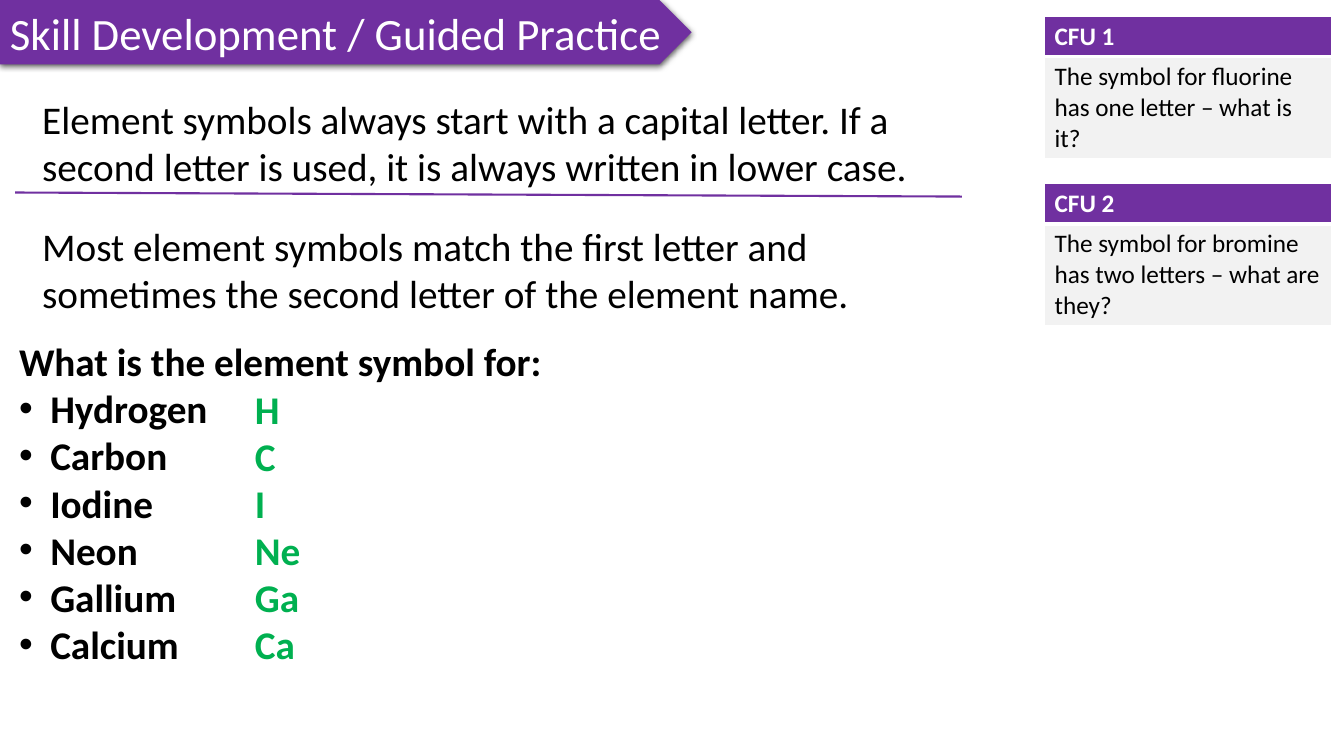
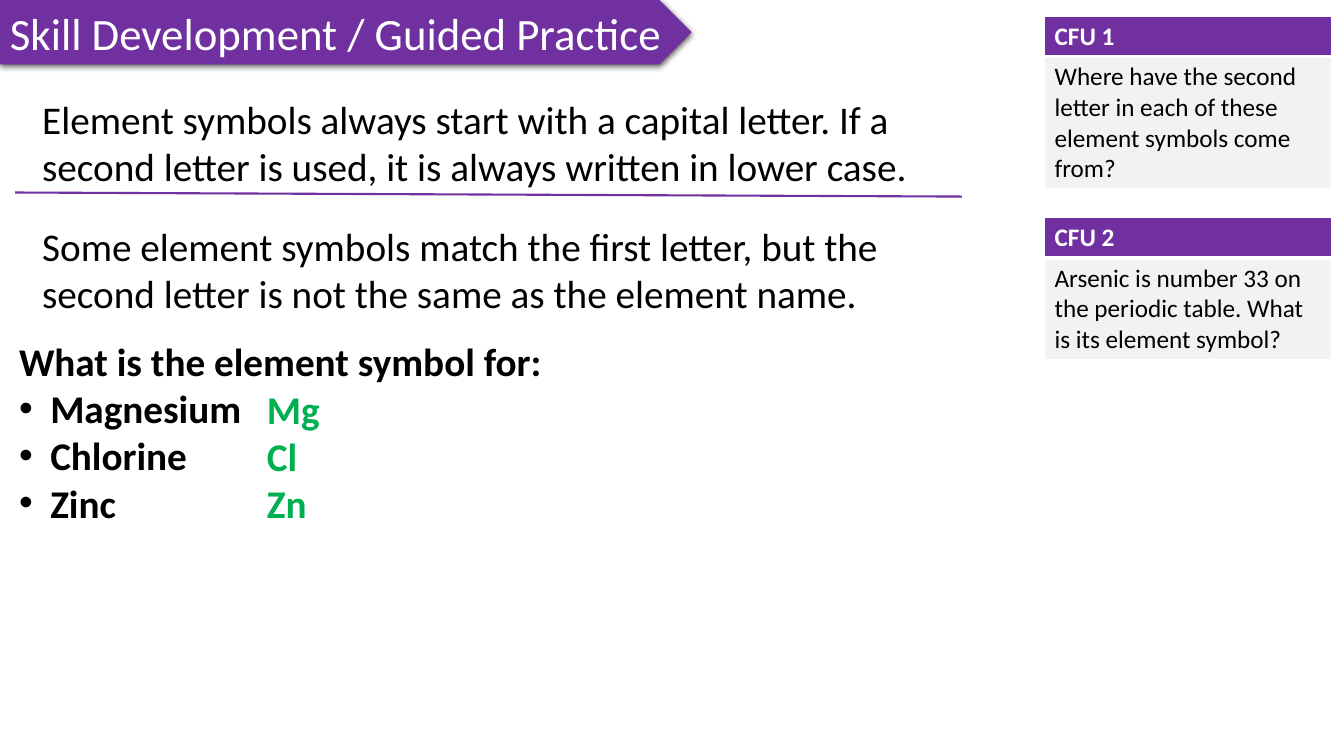
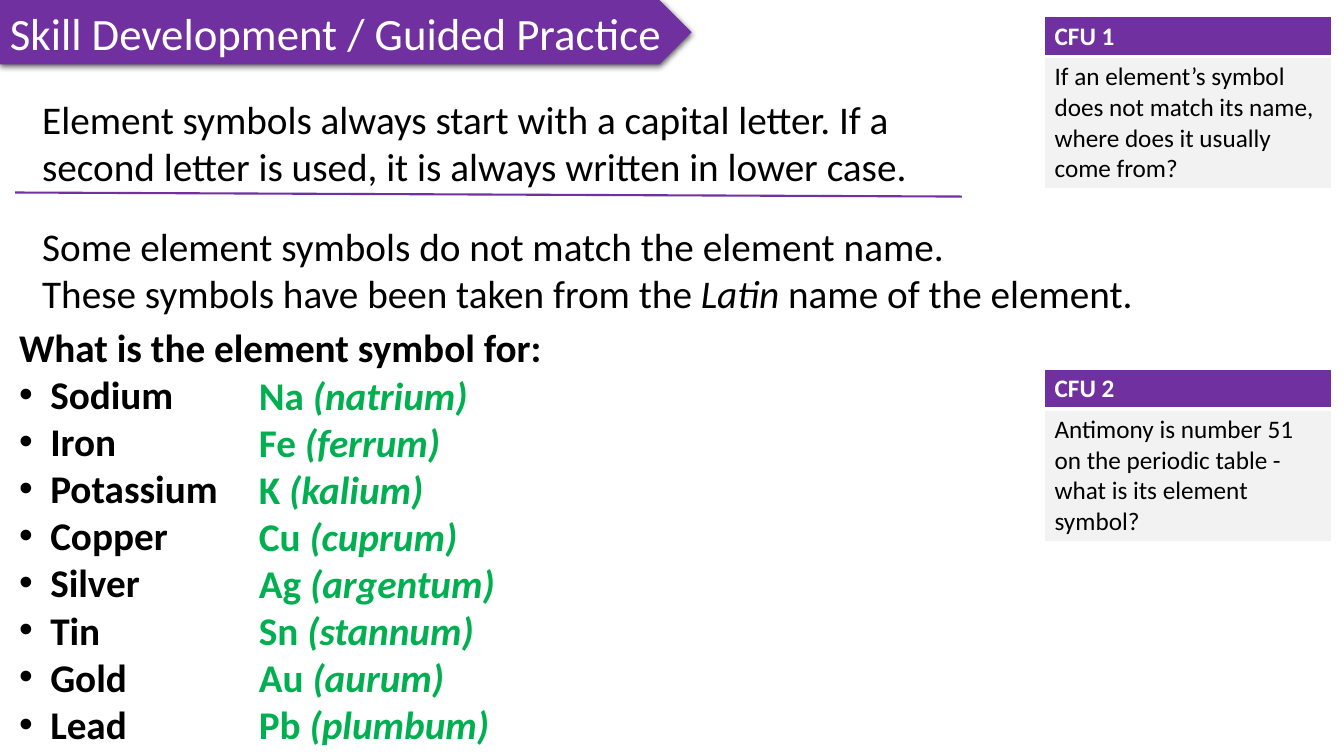
"""Build three guided-practice slides on chemical element symbols."""
from lxml.etree import SubElement
from pptx import Presentation
from pptx.dml.color import RGBColor
from pptx.enum.shapes import MSO_CONNECTOR as CONNECTOR, MSO_SHAPE as SHAPE
from pptx.enum.text import PP_ALIGN as ALIGN
from pptx.oxml import parse_xml
from pptx.oxml.ns import nsdecls, qn
from pptx.util import Inches, Pt

PURPLE, GREEN, GREY, BLACK, WHITE = "7030A0", "00B050", "F2F2F2", "000000", "FFFFFF"
FONT = "Calibri"
LINE_HEIGHT = 0.47
CFU_LEFT, CFU_WIDTH, CFU_HEADER = 10.36, 2.85, 0.39
TITLE = "Skill Development / Guided Practice"
RULE = ("Element symbols always start with a capital letter. "
        "If a second letter is used, it is always written in lower case.")
QUESTION = "What is the element symbol for:"


def color(hex_text):
    """Turn a hex string into a colour."""
    return RGBColor.from_string(hex_text)


def write(frame, lines, size, hex_text, bold=False):
    """Fill a frame with lines; every second piece of a line is italic."""
    for number, pieces in enumerate(lines):
        paragraph = frame.add_paragraph() if number else frame.paragraphs[0]
        paragraph.alignment = ALIGN.LEFT
        for position, piece in enumerate(pieces):
            run = paragraph.add_run()
            run.text = piece
            run.font.name, run.font.size = FONT, Pt(size)
            run.font.bold, run.font.italic = bold, position % 2 == 1
            run.font.color.rgb = color(hex_text)


lessons = [
    dict(
        point=[("Most element symbols match the first letter and "
                "sometimes the second letter of the element name.",)],
        point_width=9.51, question_top=3.3, answer_left=2.43, answer_width=0.74,
        elements=[("Hydrogen", "H"), ("Carbon", "C"), ("Iodine", "I"),
                  ("Neon", "Ne"), ("Gallium", "Ga"), ("Calcium", "Ca")],
        checks=[(0.16, 1.4, "The symbol for fluorine has one letter – what is it?"),
                (1.82, 1.4, "The symbol for bromine has two letters – what are they?")],
    ),
    dict(
        point=[("Some element symbols match the first letter, but the "
                "second letter is not the same as the element name.",)],
        point_width=9.51, question_top=3.3, answer_left=2.55, answer_width=0.74,
        elements=[("Magnesium", "Mg"), ("Chlorine", "Cl"), ("Zinc", "Zn")],
        checks=[(0.16, 1.7, "Where have the second letter in each of these "
                            "element symbols come from?"),
                (2.16, 1.4, "Arsenic is number 33 on the periodic table. "
                            "What is its element symbol?")],
    ),
    dict(
        point=[("Some element symbols do not match the element name.",),
               ("These symbols have been taken from the ", "Latin",
                " name of the element.")],
        point_width=11.07, question_top=3.16, answer_left=2.47, answer_width=3.96,
        elements=[("Sodium", "Na ", "(natrium)"), ("Iron", "Fe ", "(ferrum)"),
                  ("Potassium", "K ", "(kalium)"), ("Copper", "Cu ", "(cuprum)"),
                  ("Silver", "Ag ", "(argentum)"), ("Tin", "Sn ", "(stannum)"),
                  ("Gold", "Au ", "(aurum)"), ("Lead", "Pb ", "(plumbum)")],
        checks=[(0.16, 1.7, "If an element’s symbol does not match its name, "
                            "where does it usually come from?"),
                (3.66, 1.7, "Antimony is number 51 on the periodic table - "
                            "what is its element symbol?")],
    ),
]

deck = Presentation()
deck.slide_width, deck.slide_height = Inches(13.33), Inches(7.5)

for lesson in lessons:
    slide = deck.slides.add_slide(deck.slide_layouts[6])

    banner = slide.shapes.add_shape(SHAPE.PENTAGON, 0, 0, Inches(6.86), Inches(0.64))
    banner.fill.solid()
    banner.fill.fore_color.rgb = color(PURPLE)
    banner.line.fill.background()
    banner.shadow.inherit = False
    banner_shadow = banner._element.spPr.find(qn("a:effectLst"))
    banner_shadow.append(parse_xml(
        f'<a:outerShdw {nsdecls("a")} blurRad="{Pt(4.5)}" dist="{Pt(1.5)}" '
        f'dir="5400000" rotWithShape="0"><a:srgbClr val="{BLACK}">'
        '<a:alpha val="63000"/></a:srgbClr></a:outerShdw>'))
    banner.text_frame.word_wrap = False
    write(banner.text_frame, [(TITLE,)], 32, WHITE)

    divider = slide.shapes.add_connector(
        CONNECTOR.STRAIGHT, Inches(0.15), Inches(1.91), Inches(9.54), Inches(1.95))
    divider.line.color.rgb = color(PURPLE)
    divider.line.width = Pt(1.5)
    SubElement(divider._element.spPr, qn("a:effectLst"))

    names = [(element[0],) for element in lesson["elements"]]
    symbols = [element[1:] for element in lesson["elements"]]
    question_top = lesson["question_top"]
    passages = [
        (0.32, 0.9, 9.12, [(RULE,)], BLACK, False),
        (0.32, 2.16, lesson["point_width"], lesson["point"], BLACK, False),
        (0.09, question_top, 9.51, [(QUESTION,)] + names, BLACK, True),
        (lesson["answer_left"], question_top + LINE_HEIGHT, lesson["answer_width"],
         symbols, GREEN, True),
    ]
    for left, top, width, lines, hex_text, bold in passages:
        height = 0.1 + LINE_HEIGHT * max(2, len(lines))
        passage = slide.shapes.add_textbox(
            Inches(left), Inches(top), Inches(width), Inches(height))
        passage.text_frame.word_wrap = True
        write(passage.text_frame, lines, 28, hex_text, bold)
        if lines[0] == (QUESTION,):
            for item in passage.text_frame.paragraphs[1:]:
                layout = item._p.get_or_add_pPr()
                layout.set("marL", str(Inches(0.31)))
                layout.set("indent", str(-Inches(0.31)))
                SubElement(layout, qn("a:buFont"), typeface="Arial")
                SubElement(layout, qn("a:buChar"), char="•")

    for number, (top, height, check) in enumerate(lesson["checks"], 1):
        card = slide.shapes.add_table(
            2, 1, Inches(CFU_LEFT), Inches(top), Inches(CFU_WIDTH), Inches(height)).table
        card.horz_banding = False
        card.rows[0].height = Inches(CFU_HEADER)
        card.rows[1].height = Inches(height - CFU_HEADER)
        card_rows = [(f"CFU {number}", PURPLE, WHITE, True, "lnB"),
                     (check, GREY, BLACK, False, "lnT")]
        for row, (words, back, ink, bold, thick_edge) in enumerate(card_rows):
            cell = card.cell(row, 0)
            borders = cell._tc.get_or_add_tcPr()
            for edge in ("lnL", "lnR", "lnT", "lnB"):
                weight = Pt(3 if edge == thick_edge else 1)
                border = SubElement(borders, qn(f"a:{edge}"), w=str(weight))
                border_fill = SubElement(border, qn("a:solidFill"))
                SubElement(border_fill, qn("a:srgbClr"), val=WHITE)
            cell.fill.solid()
            cell.fill.fore_color.rgb = color(back)
            write(cell.text_frame, [(words,)], 18, ink, bold)

deck.save("out.pptx")
